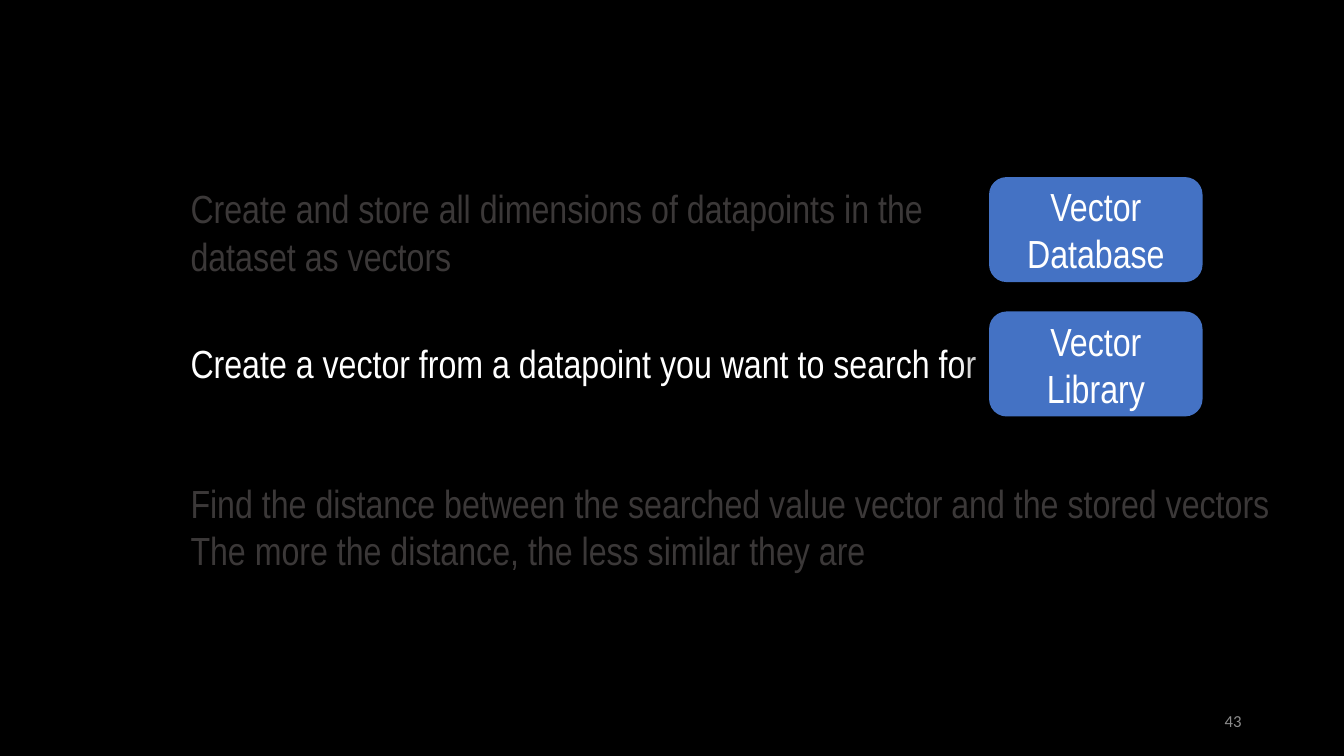
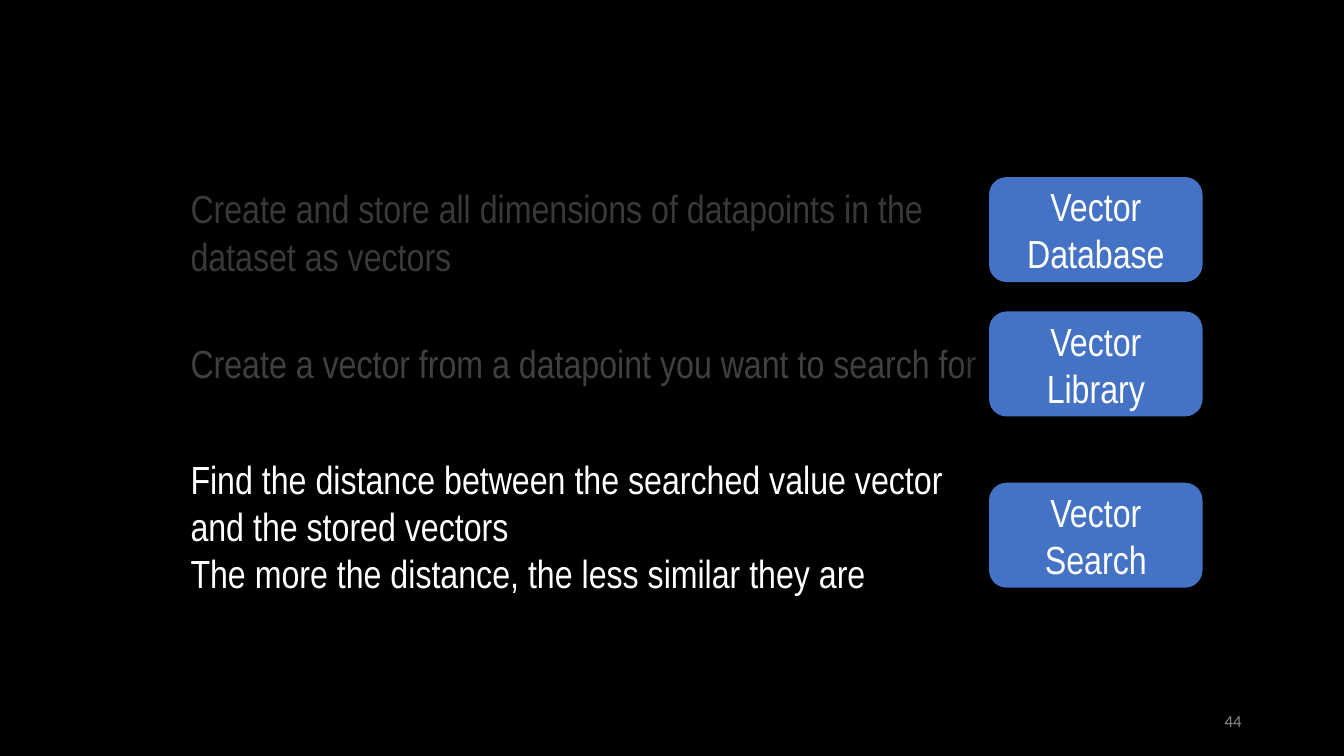
from pptx import Presentation
from pptx.dml.color import RGBColor
from pptx.enum import shapes, text
from pptx.oxml import parse_xml
from pptx.oxml.ns import nsdecls
from pptx.util import Pt

COLORS = {"background": "000000", "active": "FFFFFF", "dim": "3B3838",
          "dim_soft": "404040", "badge": "4472C4", "page_number": "8C8C8C"}
BODY = {"name": "Arial Narrow", "size": Pt(28)}
FOOTER = {"name": "Calibri", "size": Pt(12)}

STEP_LEFT = 129
BADGE_LEFT, BADGE_WIDTH, BADGE_HEIGHT = 706.5, 152.5, 75
PAGE_NUMBER_BOX = (678, 500.5, 216, 28.8)

# Each step: lines, vertical centre, badge label, badge centre
STEPS = [
    (["Create and store all dimensions of datapoints in the dataset as vectors"],
     165.6, "Vector Database", 164),
    (["Create a vector from a datapoint you want to search for"],
     259, "Vector Library", 260),
    (["Find the distance between the searched value vector and the stored vectors",
      "The more the distance, the less similar they are"],
     375.7, "Vector Search", 382.3),
]

# Each slide: page number, (width, height, colour) of each step, badges shown
SLIDES = [
    (43, [(569.5, 75, "dim"), (594, 41, "active"), (793, 75, "dim")], 2),
    (44, [(569.5, 75, "dim"), (594, 41, "dim_soft"), (564, 109, "active")], 3),
]


def rgb(color):
    return RGBColor.from_string(COLORS[color])


def write(shape, lines, font, color, align):
    frame = shape.text_frame
    frame.word_wrap = True
    frame.vertical_anchor = text.MSO_ANCHOR.MIDDLE
    for i, line in enumerate(lines):
        paragraph = frame.paragraphs[0] if i == 0 else frame.add_paragraph()
        paragraph.alignment = align
        run = paragraph.add_run()
        run.text = line
        for key, value in font.items():
            setattr(run.font, key, value)
        run.font.color.rgb = rgb(color)


def add_text(slide, box, lines, font, color, align=text.PP_ALIGN.LEFT):
    textbox = slide.shapes.add_textbox(*map(Pt, box))
    write(textbox, lines, font, color, align)


def add_badge(slide, box, label):
    badge = slide.shapes.add_shape(
        shapes.MSO_SHAPE.ROUNDED_RECTANGLE, *map(Pt, box))
    badge.fill.solid()
    badge.fill.fore_color.rgb = rgb("badge")
    badge.line.fill.background()
    # Soft shadow towards the lower left
    badge._element.spPr.append(parse_xml(
        f'<a:effectLst {nsdecls("a")}>'
        f'<a:outerShdw blurRad="{Pt(11.8)}" dist="{Pt(19.7)}" dir="{141 * 60000}"'
        ' algn="ctr" rotWithShape="0">'
        f'<a:srgbClr val="{COLORS["background"]}"><a:alpha val="28000"/></a:srgbClr>'
        '</a:outerShdw></a:effectLst>'))
    write(badge, [label], BODY, "active", text.PP_ALIGN.CENTER)


def add_steps_slide(deck, page_number, step_styles, badge_count):
    slide = deck.slides.add_slide(deck.slide_layouts[6])
    slide.background.fill.solid()
    slide.background.fill.fore_color.rgb = rgb("background")

    # Steps
    for (lines, center, *_), (width, height, color) in zip(STEPS, step_styles):
        add_text(slide, (STEP_LEFT, center - height / 2, width, height),
                 lines, BODY, color)

    # Badges revealed so far
    for *_, label, center in STEPS[:badge_count]:
        add_badge(slide, (BADGE_LEFT, center - BADGE_HEIGHT / 2,
                          BADGE_WIDTH, BADGE_HEIGHT), label)

    # Page number
    add_text(slide, PAGE_NUMBER_BOX, [str(page_number)], FOOTER,
             "page_number", text.PP_ALIGN.RIGHT)


def main():
    deck = Presentation()
    deck.slide_width, deck.slide_height = Pt(960), Pt(540)
    for slide_content in SLIDES:
        add_steps_slide(deck, *slide_content)
    deck.save("out.pptx")


if __name__ == "__main__":
    main()
